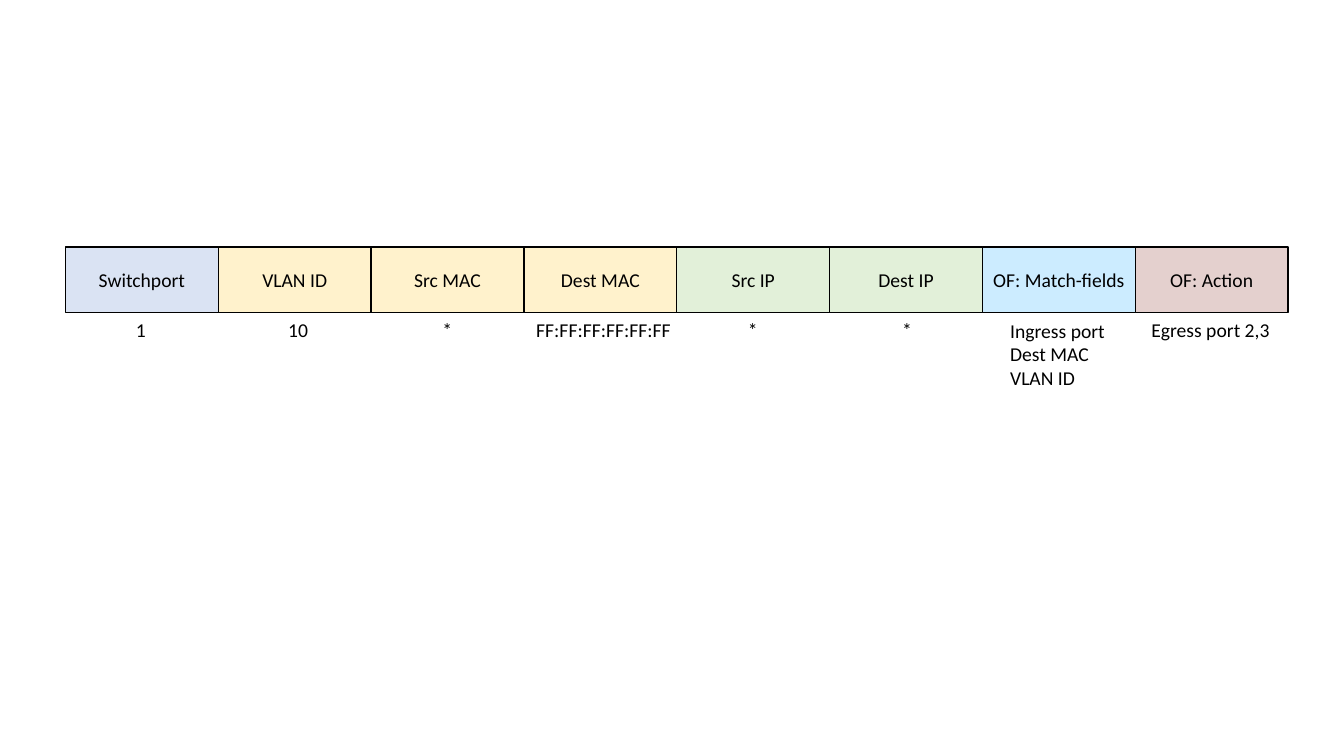
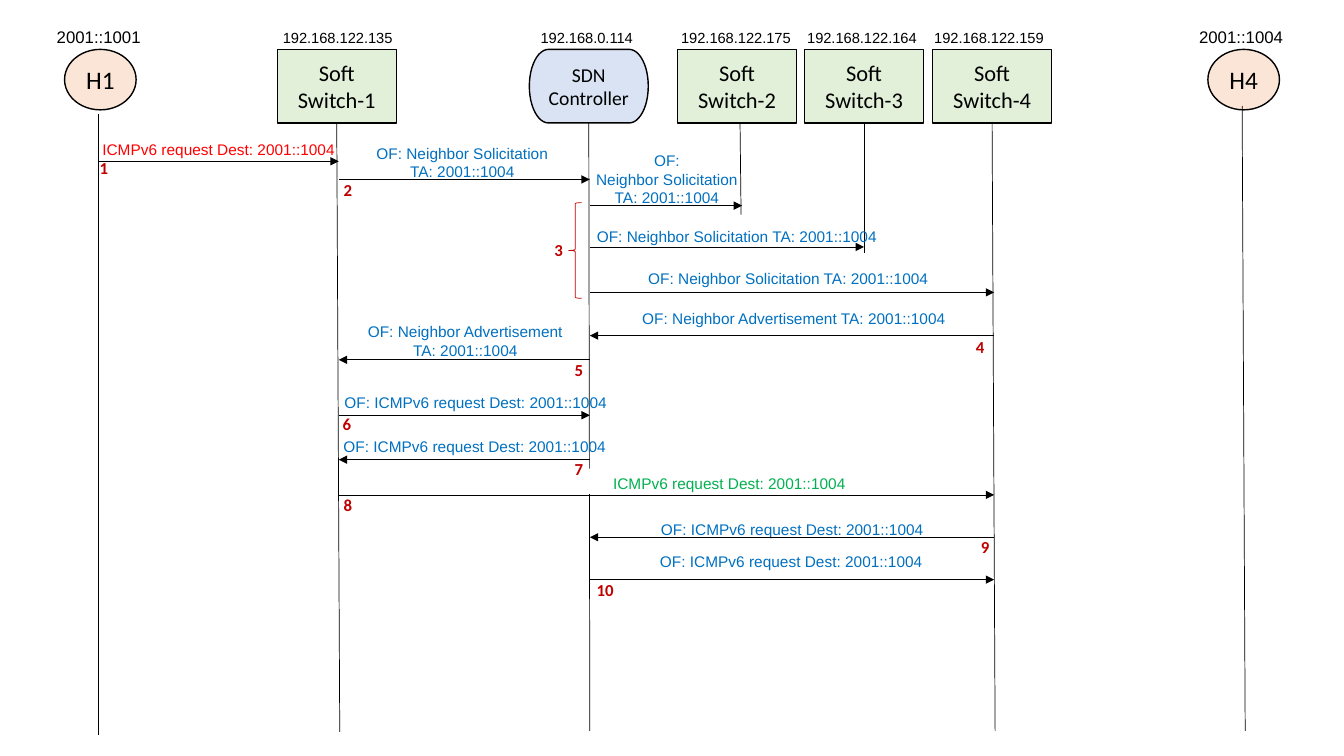
import pptx
import pptx.util
import pptx.dml.color
import pptx.enum.shapes
import pptx.enum.text
import pptx.oxml.ns
from lxml import etree

Inches = pptx.util.Inches
KIND = pptx.enum.shapes.MSO_SHAPE
ANCHOR = pptx.enum.text.MSO_ANCHOR
LEFT, MID = pptx.enum.text.PP_ALIGN.LEFT, pptx.enum.text.PP_ALIGN.CENTER

BLACK, WHITE, BLUE, RED, GREEN = "000000", "FFFFFF", "0070C0", "FF0000", "00B050"
DARK, SKY, SAND, MINT, PEACH = "C00000", "DAE3F3", "FFF2CC", "E2F0D9", "FBE5D6"

# Flow table: heading, fill, value lines, value left and width
FIELDS = [
    ("Switchport", SKY, ["1"], 1.25, 0.3),
    ("VLAN ID", SAND, ["10"], 2.76, 0.4),
    ("Src MAC", SAND, ["*"], 4.29, 0.3),
    ("Dest MAC", SAND, ["FF:FF:FF:FF:FF:FF"], 5.22, 1.54),
    ("Src IP", MINT, ["*"], 7.32, 0.3),
    ("Dest IP", MINT, ["*"], 8.85, 0.3),
    ("OF: Match-fields", "CCECFF", ["Ingress port", "Dest MAC", "VLAN ID"], 9.92, 1.15),
    ("OF: Action", "E4D0CE", ["Egress port 2,3"], 11.32, 1.39),
]
FIRST, LAST = 0.65, 11.26

# Node styles: shape, fill, width, height, text size, address width, top, size
STYLES = {
    "host": (KIND.OVAL, PEACH, 0.71, 0.6, 18, 1.1, 0.22, 12),
    "switch": (KIND.RECTANGLE, MINT, 1.18, 0.73, 16, 1.3, 0.24, 10.5),
    "control": (KIND.FLOWCHART_TERMINATOR, SKY, 1.18, 0.73, 14, 1.3, 0.24, 10.5),
}

# Name, style, left, address, address left, lifeline start, lifeline end, joined
NODES = [
    ("H1", "host", 0.64, "2001::1001", 0.43, (0.98, 1.13), (0.98, 7.29), False),
    ("Soft Switch-1", "switch", 2.75, "192.168.122.135", 2.7, (3.35, 1.22), (3.37, 7.26), True),
    ("SDN Controller", "control", 5.25, "192.168.0.114", 5.17, (5.84, 1.22), (5.85, 7.25), True),
    ("Soft Switch-2", "switch", 6.72, "192.168.122.175", 6.65, (7.34, 1.22), (7.35, 2.13), False),
    ("Soft Switch-3", "switch", 7.98, "192.168.122.164", 7.9, (8.57, 1.22), (8.57, 2.51), True),
    ("Soft Switch-4", "switch", 9.25, "192.168.122.159", 9.16, (9.84, 1.22), (9.87, 7.25), True),
    ("H4", "host", 11.98, "2001::1004", 11.76, (12.32, 1.05), (12.35, 7.25), False),
]

# Where arrows meet the lifelines
ENDS = {"H1": 0.98, "S1": 3.36, "C": 5.85, "S2": 7.36, "S3": 8.57, "S4": 9.86}

PING = "ICMPv6 request Dest: 2001::1004"
ASK, TELL, TARGET = "OF: Neighbor Solicitation", "OF: Neighbor Advertisement", "TA: 2001::1004"

# From, to, arrow height, label lines, label box, label colour, label fill
CALLS = [
    ("H1", "S1", 1.6, [PING], (0.86, 1.34, 2.62, 0.28), RED, None),
    ("S1", "C", 1.78, [ASK, TARGET], (3.34, 1.38, 2.49, 0.45), BLUE, None),
    ("C", "S2", 2.04, ["OF:", "Neighbor Solicitation", TARGET], (5.37, 1.45, 2.49, 0.52), BLUE, None),
    ("C", "S3", 2.45, [f"{ASK} {TARGET}"], (5.79, 2.2, 3.04, 0.24), BLUE, None),
    ("C", "S4", 2.9, [f"{ASK} {TARGET}"], (5.86, 2.62, 3.92, 0.24), BLUE, WHITE),
    ("S4", "C", 3.33, [f"{TELL} {TARGET}"], (5.88, 3.02, 3.99, 0.29), BLUE, None),
    ("C", "S1", 3.57, [TELL, TARGET], (3.37, 3.15, 2.49, 0.45), BLUE, None),
    ("S1", "C", 4.12, [f"OF: {PING}"], (3.26, 3.85, 2.92, 0.45), BLUE, None),
    ("C", "S1", 4.56, [f"OF: {PING}"], (3.3, 4.29, 2.82, 0.45), BLUE, None),
    ("S1", "S4", 4.91, [PING], (5.8, 4.65, 2.87, 0.25), GREEN, WHITE),
    ("S4", "C", 5.33, [f"OF: {PING}"], (5.86, 5.11, 4, 0.24), BLUE, None),
    ("C", "S4", 5.75, [f"OF: {PING}"], (5.85, 5.43, 4, 0.24), BLUE, None),
]

# Left and top of step numbers 1 to 10
STEPS = [(0.89, 1.52), (3.31, 1.73), (5.4, 2.33), (9.58, 3.29), (5.6, 3.52),
         (3.3, 4.06), (5.6, 4.5), (3.31, 4.86), (9.63, 5.28), (5.82, 5.7)]


def color(code):
    return pptx.dml.color.RGBColor.from_string(code)


def write(shape, lines, size, face="Calibri", ink=BLACK, align=MID, bold=False):
    frame = shape.text_frame
    frame.text = "\n".join(lines)
    for para in frame.paragraphs:
        para.alignment = align
        font = para.font
        font.name, font.size, font.bold = face, pptx.util.Pt(size), bold
        font.color.rgb = color(ink)


def note(slide, box, lines, size, fill=None, wrap=True, **style):
    """Add a text box, filled if a colour is given."""
    shape = slide.shapes.add_textbox(*map(Inches, box))
    shape.text_frame.word_wrap = wrap
    if fill:
        shape.fill.solid()
        shape.fill.fore_color.rgb = color(fill)
    write(shape, lines, size, **style)
    return shape


def block(slide, kind, box, fill, text, size):
    """Add an outlined shape with centred text."""
    shape = slide.shapes.add_shape(kind, *map(Inches, box))
    shape.shadow.inherit = False
    shape.fill.solid()
    shape.fill.fore_color.rgb = color(fill)
    shape.line.color.rgb = color(BLACK)
    shape.line.width = pptx.util.Pt(1)
    shape.text_frame.word_wrap = True
    shape.text_frame.vertical_anchor = ANCHOR.MIDDLE
    write(shape, [text], size)
    return shape


def link(slide, start, end, arrow=False):
    line = slide.shapes.add_connector(
        pptx.enum.shapes.MSO_CONNECTOR.STRAIGHT, *map(Inches, start + end))
    line.line.color.rgb = color(BLACK)
    line.line.width = pptx.util.Pt(0.5)
    qn = pptx.oxml.ns.qn
    props = line._element.spPr
    if arrow:
        etree.SubElement(props.find(qn("a:ln")), qn("a:tailEnd"), type="triangle")
    etree.SubElement(props, qn("a:effectLst"))
    return line


def draw_table(slide):
    pitch = (LAST - FIRST) / (len(FIELDS) - 1)
    for i, (head, fill, lines, left, width) in enumerate(FIELDS):
        box = (FIRST + i * pitch, 2.45, pitch, 0.65)
        block(slide, KIND.RECTANGLE, box, fill, head, 14)
        size = (width, 0.34 + 0.235 * (len(lines) - 1))
        value = note(slide, (left, 3.11, *size), lines, 14, wrap=False, align=LEFT)
        value.text_frame.auto_size = pptx.enum.text.MSO_AUTO_SIZE.SHAPE_TO_FIT_TEXT


def draw_nodes(slide):
    for name, style, left, address, edge, start, end, joined in NODES:
        kind, fill, width, height, size, span, top, small = STYLES[style]
        node = block(slide, kind, (left, 0.49, width, height), fill, name, size)
        life = link(slide, start, end)
        if joined:
            life.begin_connect(node, 2)
        note(slide, (edge, top, span, 0.32), [address], small, face="Arial")


def draw_calls(slide):
    for start, end, y, lines, box, ink, fill in CALLS:
        note(slide, box, lines, 11, fill, face="Arial", ink=ink)
        link(slide, (ENDS[start], y), (ENDS[end], y), arrow=True)
    for step, (left, top) in enumerate(STEPS, 1):
        width = 0.23 if step < 10 else 0.4
        note(slide, (left, top, width, 0.3), [str(step)], 12,
             ink=DARK, align=LEFT, bold=True)
    brace = slide.shapes.add_shape(KIND.LEFT_BRACE, *map(Inches, (5.64, 2.01, 0.13, 0.95)))
    brace.shadow.inherit = False
    brace.fill.background()
    brace.line.color.rgb = color(DARK)
    brace.line.width = pptx.util.Pt(0.5)


def main():
    deck = pptx.Presentation()
    deck.slide_width, deck.slide_height = Inches(13.33), Inches(7.5)
    blank = deck.slide_layouts[6]
    draw_table(deck.slides.add_slide(blank))
    flow = deck.slides.add_slide(blank)
    draw_nodes(flow)
    draw_calls(flow)
    deck.save("out.pptx")


if __name__ == "__main__":
    main()
